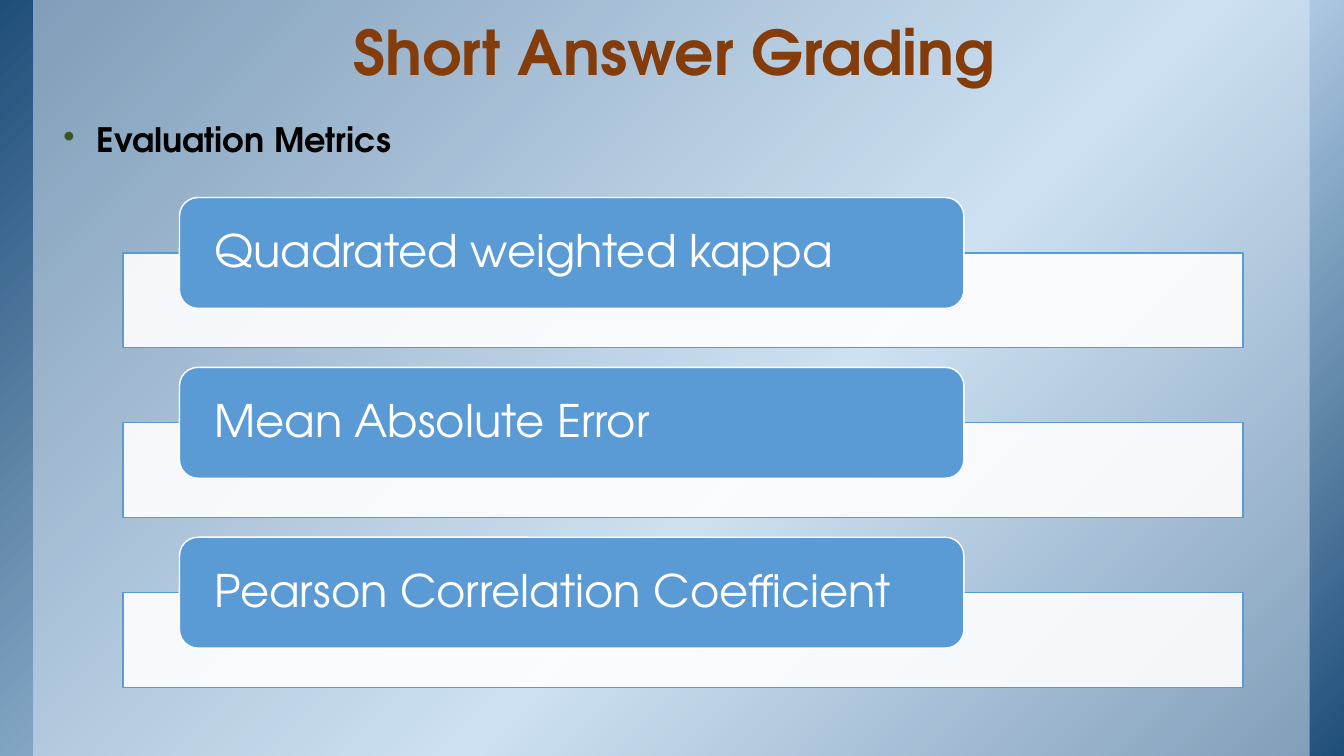
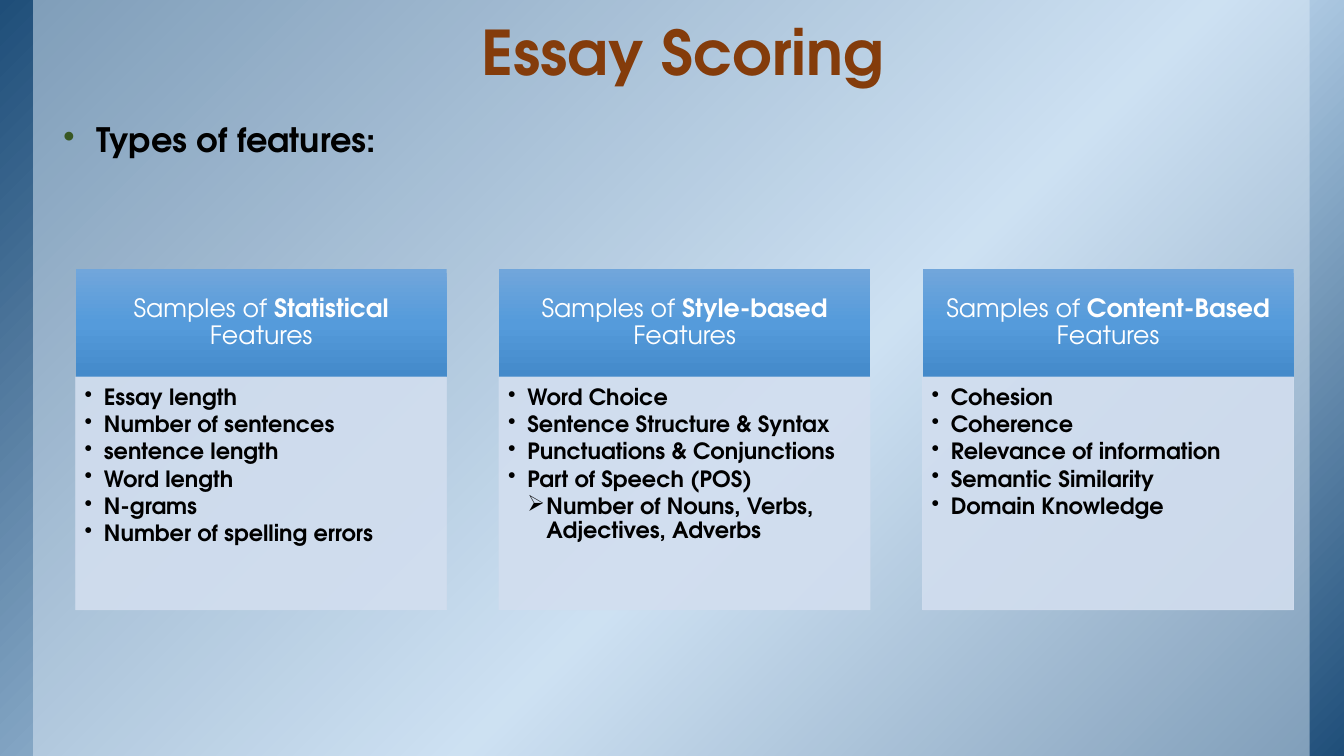
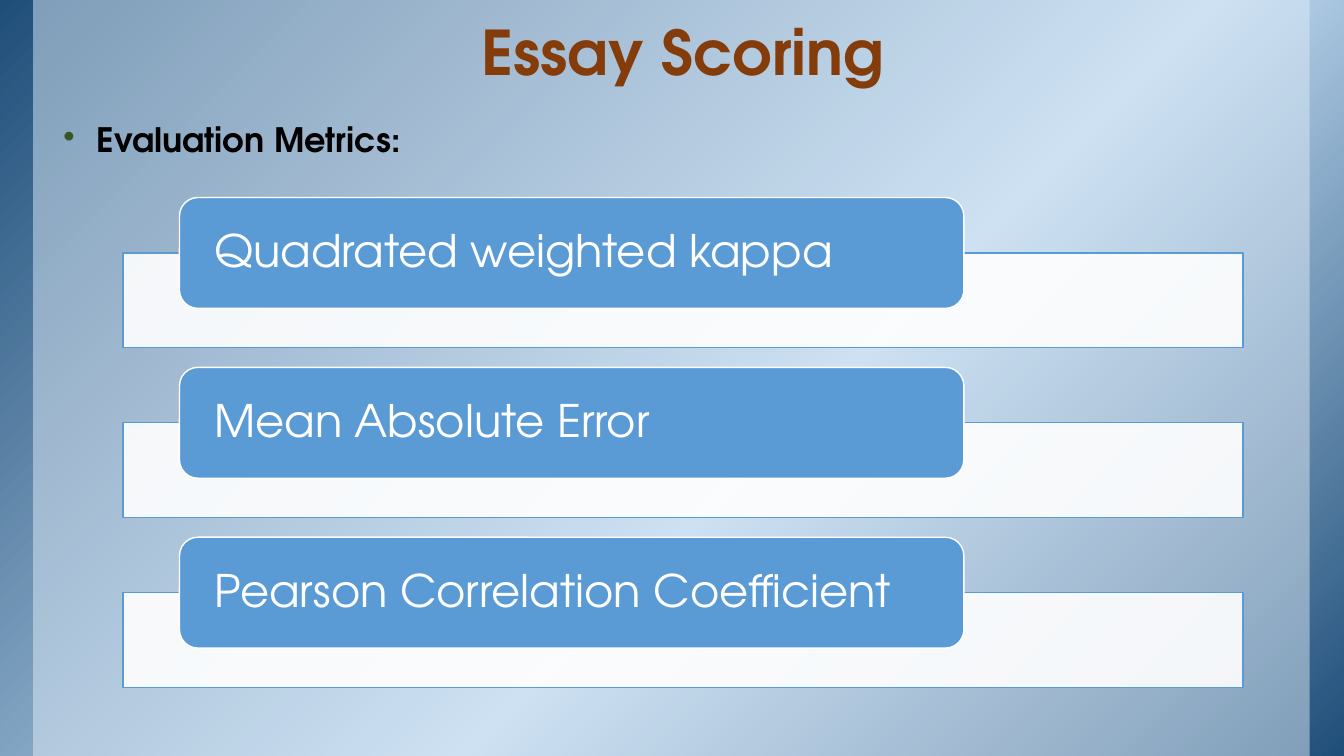
from dataclasses import dataclass

from lxml.etree import SubElement
from pptx import Presentation
from pptx.dml.color import RGBColor
from pptx.enum.shapes import MSO_SHAPE
from pptx.enum.text import MSO_ANCHOR, PP_ALIGN
from pptx.oxml.ns import qn
from pptx.util import Inches, Pt


@dataclass(frozen=True)
class Theme:
    font: str = "TeX Gyre Adventor"
    title: str = "843C0B"
    text: str = "000000"
    white: str = "FFFFFF"
    bullet: str = "385723"
    blue: str = "5B9BD5"
    panel: str = "DEEBF7"
    card: str = "D2DEEF"
    backdrop: tuple = ((0, "1F4E79"), (58, "BDD7EE"), (100, "1F4E79"))
    header: tuple = ((0, "71A6DB"), (50, "559BDB"), (100, "448ACA"))
    title_size: int = 44
    metric_size: int = 32
    topic_size: int = 24
    header_size: int = 18
    item_size: int = 16


WIDTH, HEIGHT = 13.33, 7.5
METRICS = ["Quadrated weighted kappa", "Mean Absolute Error",
           "Pearson Correlation Coefficient"]
FEATURES = [
    ("Statistical", ["Essay length", "Number of sentences", "sentence length",
                     "Word length", "N-grams", "Number of spelling errors"], []),
    ("Style-based", ["Word Choice", "Sentence Structure & Syntax",
                     "Punctuations & Conjunctions", "Part of Speech (POS)"],
     ["Number of Nouns, Verbs, Adjectives, Adverbs"]),
    ("Content-Based", ["Cohesion", "Coherence", "Relevance of information",
                       "Semantic Similarity", "Domain Knowledge"], []),
]


def set_alpha(fill_parent, percent):
    color = fill_parent.find(qn("a:solidFill")).find(qn("a:srgbClr"))
    SubElement(color, qn("a:alpha"), val=str(percent * 1000))


def set_gradient(sp, stops, angle):
    """Fill with any number of stops; the angle runs clockwise."""
    sp.fill.gradient()
    sp.fill.gradient_angle = 360 - angle
    stop_list = sp._element.spPr.find(qn("a:gradFill")).find(qn("a:gsLst"))
    for stop in list(stop_list):
        stop_list.remove(stop)
    for position, color in stops:
        stop = SubElement(stop_list, qn("a:gs"), pos=str(position * 1000))
        SubElement(stop, qn("a:srgbClr"), val=color)


def set_bullet(p, char, left, hang, color=None):
    pPr = p._p.get_or_add_pPr()
    pPr.set("marL", str(Inches(left)))
    pPr.set("indent", str(Inches(-hang)))
    if color:
        SubElement(SubElement(pPr, qn("a:buClr")), qn("a:srgbClr"), val=color)
    SubElement(pPr, qn("a:buChar"), char=char)


class Deck:
    def __init__(self, theme):
        self.theme = theme
        self.prs = Presentation()
        self.prs.slide_width = Inches(WIDTH)
        self.prs.slide_height = Inches(HEIGHT)
        self.s = None

    def box(self, at, fill, line=None, width=1, alpha=None, angle=90,
            kind=MSO_SHAPE.RECTANGLE):
        """Add a shape; fill is one colour or a tuple of gradient stops."""
        sp = self.s.shapes.add_shape(kind, *map(Inches, at))
        sp.shadow.inherit = False
        if isinstance(fill, tuple):
            set_gradient(sp, fill, angle)
        else:
            sp.fill.solid()
            sp.fill.fore_color.rgb = RGBColor.from_string(fill)
            if alpha:
                set_alpha(sp._element.spPr, alpha)
        if line:
            sp.line.color.rgb = RGBColor.from_string(line)
            sp.line.width = Pt(width)
        else:
            sp.line.fill.background()
        return sp

    def frame(self, sp, insets, anchor=MSO_ANCHOR.TOP):
        tf = sp.text_frame
        tf.word_wrap = True
        tf.vertical_anchor = anchor
        (tf.margin_left, tf.margin_top,
         tf.margin_right, tf.margin_bottom) = map(Inches, insets)
        return tf

    def add_text(self, p, parts, size, color, spacing=0.9, align=PP_ALIGN.LEFT):
        """Fill a paragraph with (text, bold) parts."""
        p.alignment = align
        p.line_spacing = spacing
        for text, bold in parts:
            r = p.add_run()
            r.text = text
            r.font.name = self.theme.font
            r.font.size = Pt(size)
            r.font.bold = bold
            r.font.color.rgb = RGBColor.from_string(color)

    def text_box(self, at, anchor):
        sp = self.s.shapes.add_textbox(*map(Inches, at))
        return self.frame(sp, (0.13, 0.07, 0.13, 0.07), anchor).paragraphs[0]

    def slide(self, title, topic):
        t = self.theme
        self.s = self.prs.slides.add_slide(self.prs.slide_layouts[6])
        self.box((0, 0, WIDTH, HEIGHT), t.backdrop, angle=45)
        self.box((0.33, 0, 12.66, HEIGHT), t.panel, alpha=50)
        p = self.text_box((1.22, 0.08, 11.11, 0.86), MSO_ANCHOR.BOTTOM)
        self.add_text(p, [(title, True)], t.title_size, t.title, 0.85,
                      PP_ALIGN.CENTER)
        p = self.text_box((0.5, 1.14, 12.17, 6.03), MSO_ANCHOR.TOP)
        set_bullet(p, "•", 0.33, 0.33, t.bullet)
        self.add_text(p, [(topic, True)], t.topic_size, t.text, 0.95)

    def metrics(self, names):
        t = self.theme
        first, last = 1.96, 5.33
        step = (last - first) / (len(names) - 1)
        for i, name in enumerate(names):
            top = first + i * step
            self.box((1.22, top + 0.55, 11.11, 0.94), t.white, t.blue, alpha=90)
            sp = self.box((1.78, top, 7.78, 1.1), t.blue, t.white,
                          kind=MSO_SHAPE.ROUNDED_RECTANGLE)
            tf = self.frame(sp, (0.29, 0, 0.29, 0), MSO_ANCHOR.MIDDLE)
            self.add_text(tf.paragraphs[0], [(name, False)], t.metric_size, t.white)

    def feature_card(self, left, kind, items, subitems):
        t = self.theme
        top, width, head = 2.67, 3.68, 1.07
        sp = self.box((left, top, width, head), t.header)
        tf = self.frame(sp, (0.14, 0.08, 0.14, 0.08), MSO_ANCHOR.MIDDLE)
        parts = [("Samples of ", False), (kind, True), (" Features", False)]
        self.add_text(tf.paragraphs[0], parts, t.header_size, t.white,
                      align=PP_ALIGN.CENTER)

        sp = self.box((left, top + head, width, 2.31), t.card, t.card, 0.5, 90)
        set_alpha(sp._element.spPr.find(qn("a:ln")), 90)
        tf = self.frame(sp, (0.09, 0.09, 0.12, 0.14))
        rows = [(x, "•", 0.19) for x in items] + [(x, "➢", 0.38) for x in subitems]
        for i, (text, char, indent) in enumerate(rows):
            p = tf.add_paragraph() if i else tf.paragraphs[0]
            set_bullet(p, char, indent, 0.19)
            p.space_after = Pt(2.2)
            self.add_text(p, [(text, True)], t.item_size, t.text)


def main():
    deck = Deck(Theme())
    deck.slide("Short Answer Grading ", "Evaluation Metrics")
    deck.metrics(METRICS)

    deck.slide("Essay Scoring", "Types of features:")
    for i, feature in enumerate(FEATURES):
        deck.feature_card(0.75 + 4.2 * i, *feature)

    deck.slide("Essay Scoring", "Evaluation Metrics:")
    deck.metrics(METRICS)
    deck.prs.save("out.pptx")


if __name__ == "__main__":
    main()
